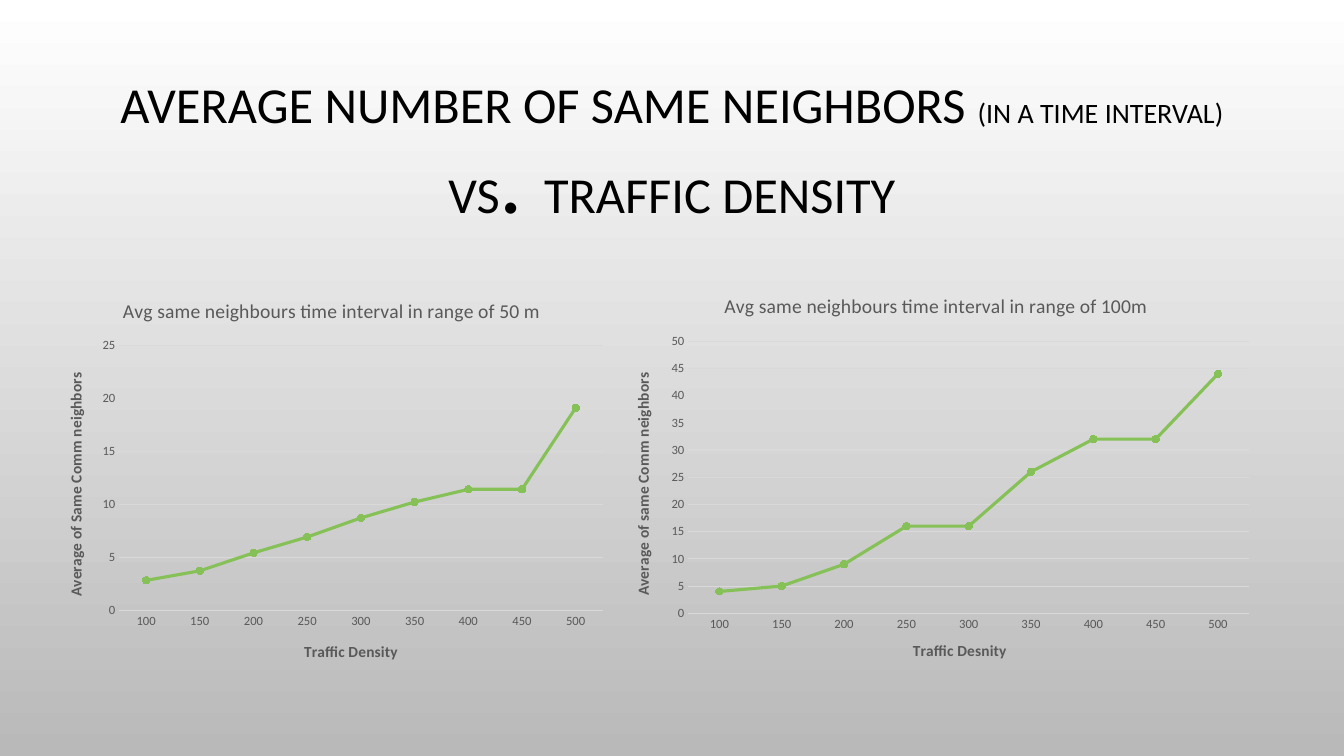
from lxml import etree
from pptx import Presentation
from pptx.chart.data import CategoryChartData
from pptx.dml.color import RGBColor
from pptx.enum import chart as charts, text
from pptx.oxml import parse_xml
from pptx.util import Inches, Pt

GREEN, GRAY, GRID = "86C157", "595959", "D9D9D9"
CHART_NS = "http://schemas.openxmlformats.org/drawingml/2006/chart"


def add_text(para, words, size, color=GRAY, bold=False):
    span = para.add_run()
    span.text = words
    span.font.name = "Calibri"
    span.font.size = Pt(size)
    span.font.bold = bold
    span.font.color.rgb = RGBColor.from_string(color)


def set_layout(element, **fractions):
    """Place a chart title (x, y) or the inner plot area (x, y, w, h)."""
    for old in element.findall(f"{{{CHART_NS}}}layout"):
        element.remove(old)
    layout = parse_xml(f'<c:layout xmlns:c="{CHART_NS}"><c:manualLayout/></c:layout>')
    settings = {"xMode": "edge", "yMode": "edge", **fractions}
    if "w" in fractions:
        settings = {"layoutTarget": "inner", **settings}
    for name, value in settings.items():
        etree.SubElement(layout[0], f"{{{CHART_NS}}}{name}").set("val", str(value))
    words = element.find(f"{{{CHART_NS}}}tx")
    element.insert(0 if words is None else 1, layout)


deck = Presentation()
deck.slide_width, deck.slide_height = Inches(13.33), Inches(7.5)
page = deck.slides.add_slide(deck.slide_layouts[5])

# Background
fill = page.background.fill
fill.gradient()
fill.gradient_angle = 270
for stop, color in zip(fill.gradient_stops, ("FFFFFF", "B9B9B9")):
    stop.color.rgb = RGBColor.from_string(color)

# Title
title = page.shapes.title
title.left, title.top = Inches(1), Inches(0.68)
title.width, title.height = Inches(11.33), Inches(1.75)
box = title.text_frame
box.word_wrap = True
box.auto_size = text.MSO_AUTO_SIZE.NONE
box.vertical_anchor = text.MSO_ANCHOR.MIDDLE
para = box.paragraphs[0]
para.alignment = text.PP_ALIGN.CENTER
para.line_spacing = 0.9
for words, size in (
    ("AVERAGE NUMBER OF SAME NEIGHBORS ", 36),
    ("(IN A TIME INTERVAL)", 20),
    (" VS", 36),
    (". ", 66),
    ("TRAFFIC DENSITY", 36),
):
    add_text(para, words, size, "000000")

# Charts: place, values, top of scale, titles and their positions
densities = [str(density) for density in range(100, 501, 50)]
panels = [
    dict(at=(0.45, 2.79, 5.64, 3.98), top=25,
         values=(2.8, 3.7, 5.4, 6.9, 8.7, 10.2, 11.4, 11.4, 19.1),
         series="Avg same neighbours time interval in range of 50 m",
         heading="Avg same neighbours time interval in range of 50 m",
         across="Traffic Density", up="Average of Same Comm neighbors",
         plot=dict(x=0.13, y=0.16, w=0.85, h=0.66),
         places=((0.13, 0.03), (0.45, 0.89), (0.03, 0.22))),
    dict(at=(6.05, 2.74, 6.47, 4.03), top=50,
         values=(4, 5, 9, 16, 16, 26, 32, 32, 44),
         series="Series 1",
         heading="Avg same neighbours time interval in range of 100m",
         across="Traffic Desnity", up="Average of same Comm neighbors",
         plot=dict(x=0.12, y=0.16, w=0.86, h=0.67),
         places=((0.17, 0.03), (0.46, 0.89), (0.03, 0.23))),
]
for panel in panels:
    data = CategoryChartData()
    data.categories = densities
    data.add_series(panel["series"], panel["values"])
    chart = page.shapes.add_chart(
        charts.XL_CHART_TYPE.LINE_MARKERS, *map(Inches, panel["at"]), data
    ).chart
    chart.has_legend = False
    chart.font.name, chart.font.size = "Calibri", Pt(10)
    plot = chart.plots[0]
    plot.vary_by_categories = False

    # Line and markers
    series = plot.series[0]
    series.smooth = False
    series.format.line.width = Pt(2.25)
    series.format.line.color.rgb = RGBColor.from_string(GREEN)
    marker = series.marker
    marker.style, marker.size = charts.XL_MARKER_STYLE.CIRCLE, 5
    marker.format.fill.solid()
    marker.format.fill.fore_color.rgb = RGBColor.from_string(GREEN)
    marker.format.line.color.rgb = RGBColor.from_string(GREEN)

    # Axes and grid
    across, up = chart.category_axis, chart.value_axis
    for axis in (across, up):
        axis.major_tick_mark = axis.minor_tick_mark = charts.XL_TICK_MARK.NONE
        labels = axis.tick_labels.font
        labels.name, labels.size = "Calibri", Pt(9)
        labels.color.rgb = RGBColor.from_string(GRAY)
    up.minimum_scale, up.maximum_scale, up.major_unit = 0, panel["top"], 5
    up.format.line.fill.background()
    up.has_major_gridlines = True
    for line in (across.format.line, up.major_gridlines.format.line):
        line.width = Pt(0.75)
        line.color.rgb = RGBColor.from_string(GRID)

    # Titles
    holders = (
        (chart.chart_title, panel["heading"], 14, False),
        (across.axis_title, panel["across"], 11, True),
        (up.axis_title, panel["up"], 11, True),
    )
    for (holder, words, size, bold), (x, y) in zip(holders, panel["places"]):
        add_text(holder.text_frame.paragraphs[0], words, size, bold=bold)
        element = holder.text_frame._txBody.getparent().getparent()
        set_layout(element, x=x, y=y)
    chart.chart_title.include_in_layout = False
    set_layout(chart._chartSpace.chart.plotArea, **panel["plot"])

deck.save("out.pptx")
